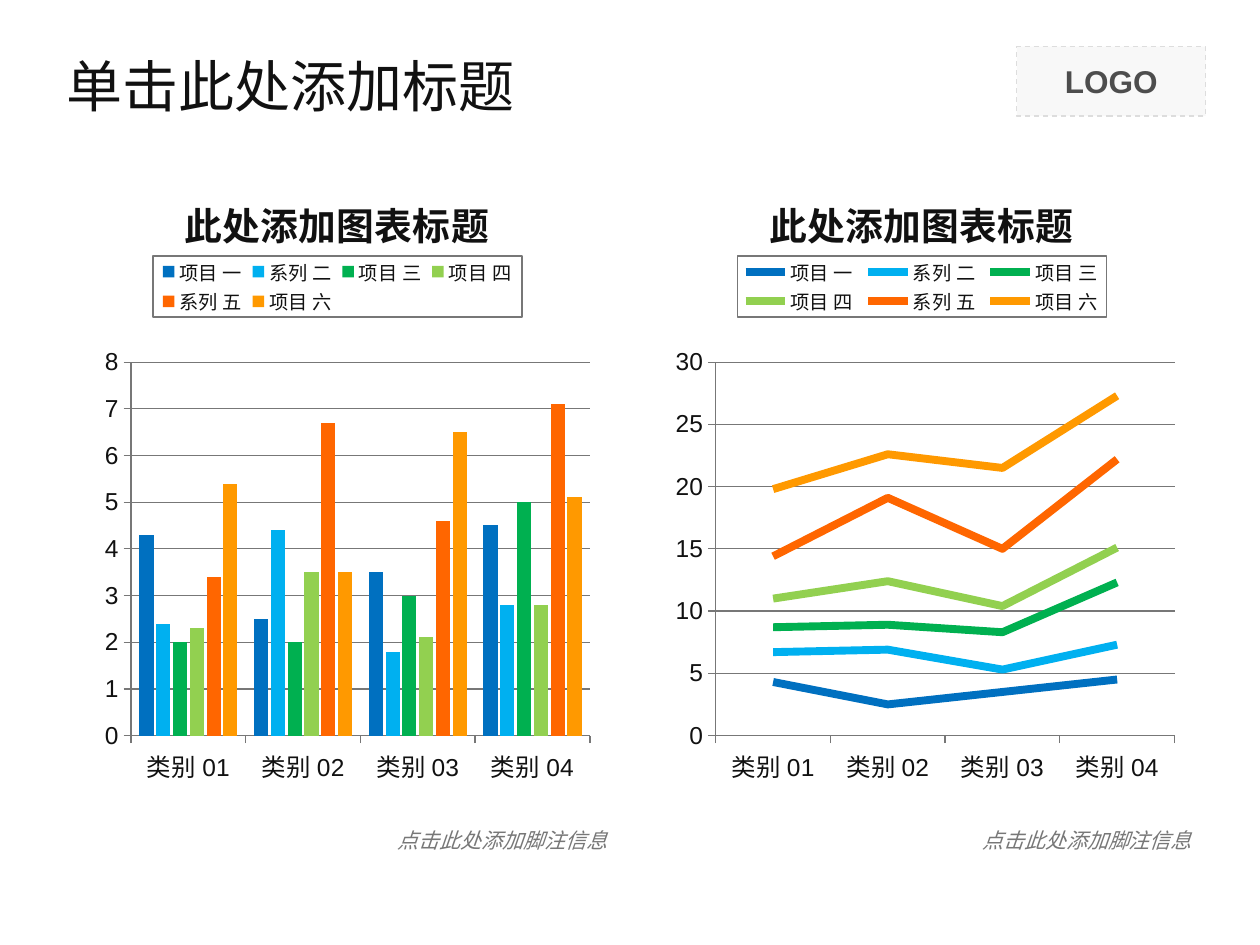
import pptx
import pptx.util
from lxml import etree
from pptx.chart.data import CategoryChartData
from pptx.dml.color import RGBColor
from pptx.enum.chart import XL_CHART_TYPE, XL_LEGEND_POSITION, XL_TICK_MARK
from pptx.enum.dml import MSO_LINE
from pptx.enum.shapes import MSO_SHAPE
from pptx.enum.text import MSO_ANCHOR, MSO_AUTO_SIZE, PP_ALIGN
from pptx.oxml import parse_xml
from pptx.oxml.ns import nsdecls, qn
from pptx.util import Inches, Pt

INK = RGBColor(0x11, 0x11, 0x11)
GRAY = RGBColor(0x77, 0x77, 0x77)
LOGO_TEXT = RGBColor(0x4D, 0x4D, 0x4D)
LOGO_FILL = RGBColor(0xF8, 0xF8, 0xF8)
LOGO_LINE = RGBColor(0xDD, 0xDD, 0xDD)

CATEGORIES = ["类别 01", "类别 02", "类别 03", "类别 04"]
SERIES = [
    ("项目 一", (4.3, 2.5, 3.5, 4.5), RGBColor(0x00, 0x70, 0xC0)),
    ("系列 二", (2.4, 4.4, 1.8, 2.8), RGBColor(0x00, 0xB0, 0xF0)),
    ("项目 三", (2, 2, 3, 5), RGBColor(0x00, 0xB0, 0x50)),
    ("项目 四", (2.3, 3.5, 2.1, 2.8), RGBColor(0x92, 0xD0, 0x50)),
    ("系列 五", (3.4, 6.7, 4.6, 7.1), RGBColor(0xFF, 0x66, 0x00)),
    ("项目 六", (5.4, 3.5, 6.5, 5.1), RGBColor(0xFF, 0x99, 0x00)),
]
# Chart type, left edge, axis maximum, axis step
CHARTS = [
    (XL_CHART_TYPE.COLUMN_CLUSTERED, 0.43, 8, 1),
    (XL_CHART_TYPE.LINE_STACKED, 5.07, 30, 5),
]
CHART_WIDTH = 4.49


def style_font(font, color=INK, **values):
    """Set the colour and any other values of a font."""
    font.color.rgb = color
    for key, value in values.items():
        setattr(font, key, value)


def set_layout(parent, index, target, x, y, w, h):
    """Place a chart part by fractions of the chart area."""
    for old in parent.findall(qn("c:layout")):
        parent.remove(old)
    layout = parse_xml(f"<c:layout {nsdecls('c')}/>")
    manual = etree.SubElement(layout, qn("c:manualLayout"))
    values = {"xMode": "edge", "yMode": "edge", "x": x, "y": y, "w": w, "h": h}
    if target:
        values = {"layoutTarget": target, **values}
    for tag, value in values.items():
        etree.SubElement(manual, qn(f"c:{tag}")).set("val", str(value))
    parent.insert(index, layout)


deck = pptx.Presentation()
deck.slide_width, deck.slide_height = Inches(10), Inches(7.5)
page = deck.slides.add_slide(deck.slide_layouts[5])

title = page.shapes.title
title.left, title.top = Inches(0.43), Inches(0.28)
title.width, title.height = Inches(9.14), Inches(0.79)
title.text_frame.text = "单击此处添加标题"
title.text_frame.vertical_anchor = MSO_ANCHOR.MIDDLE
para = title.text_frame.paragraphs[0]
para.alignment = PP_ALIGN.LEFT
style_font(para.runs[0].font, name="Montserrat", size=Pt(32))

logo = page.shapes.add_shape(
    MSO_SHAPE.RECTANGLE, Inches(8.07), Inches(0.37), Inches(1.5), Inches(0.55))
logo.shadow.inherit = False
logo.fill.solid()
logo.fill.fore_color.rgb = LOGO_FILL
logo.line.color.rgb = LOGO_LINE
logo.line.width = Pt(0.75)
logo.line.dash_style = MSO_LINE.DASH
logo.text_frame.text = "LOGO"
logo.text_frame.vertical_anchor = MSO_ANCHOR.MIDDLE
para = logo.text_frame.paragraphs[0]
para.alignment = PP_ALIGN.CENTER
style_font(para.runs[0].font, LOGO_TEXT, name="Arial", size=Pt(18), bold=True)

data = CategoryChartData()
data.categories = CATEGORIES
for name, values, color in SERIES:
    data.add_series(name, values)

for kind, left, maximum, step in CHARTS:
    chart = page.shapes.add_chart(
        kind, Inches(left), Inches(1.31), Inches(CHART_WIDTH), Inches(5.2), data).chart
    style_font(chart.font, name="Arial", size=Pt(18))

    chart.has_title = True
    heading = chart.chart_title.text_frame
    heading.text = "此处添加图表标题"
    style_font(heading.paragraphs[0].runs[0].font,
               name="Arial", size=Pt(21.6), bold=True)

    chart.has_legend = True
    legend = chart.legend
    legend.position = XL_LEGEND_POSITION.TOP
    legend.include_in_layout = False
    style_font(legend.font, name="Arial", size=Pt(11))
    legend_node = legend._element
    set_layout(legend_node, 1, None, 0.175, 0.139, 0.652, 0.093)
    legend_node.find(qn("c:txPr")).addprevious(parse_xml(
        f"<c:spPr {nsdecls('c', 'a')}><a:noFill/><a:ln w='9525'><a:solidFill>"
        f"<a:srgbClr val='{GRAY}'/></a:solidFill></a:ln></c:spPr>"))
    set_layout(chart._chartSpace.chart.plotArea, 0, "inner", 0.136, 0.301, 0.811, 0.57)

    value_axis = chart.value_axis
    value_axis.minimum_scale, value_axis.maximum_scale = 0, maximum
    value_axis.major_unit = step
    value_axis.has_major_gridlines = True
    for axis in (chart.category_axis, value_axis):
        axis.major_tick_mark = XL_TICK_MARK.OUTSIDE
        style_font(axis.tick_labels.font, name="Arial", size=Pt(14))
    for line in (chart.category_axis.format.line, value_axis.format.line,
                 value_axis.major_gridlines.format.line):
        line.color.rgb = GRAY
        line.width = Pt(0.75)

    plot = chart.plots[0]
    plot.vary_by_categories = False
    is_column = kind == XL_CHART_TYPE.COLUMN_CLUSTERED
    if is_column:
        plot.gap_width, plot.overlap = 117, -18
    for series, (name, values, color) in zip(plot.series, SERIES):
        if is_column:
            series.format.fill.solid()
            series.format.fill.fore_color.rgb = color
        else:
            series.smooth = False
            series.format.line.color.rgb = color
            series.format.line.width = Pt(4.5)

    box = page.shapes.add_textbox(
        Inches(left + CHART_WIDTH - 1.88), Inches(6.52), Inches(1.88), Inches(0.3))
    frame = box.text_frame
    frame.text = "点击此处添加脚注信息"
    frame.word_wrap = False
    frame.auto_size = MSO_AUTO_SIZE.SHAPE_TO_FIT_TEXT
    para = frame.paragraphs[0]
    para.alignment = PP_ALIGN.RIGHT
    style_font(para.runs[0].font, GRAY, name="Arial", size=Pt(12), italic=True)

deck.save("out.pptx")
